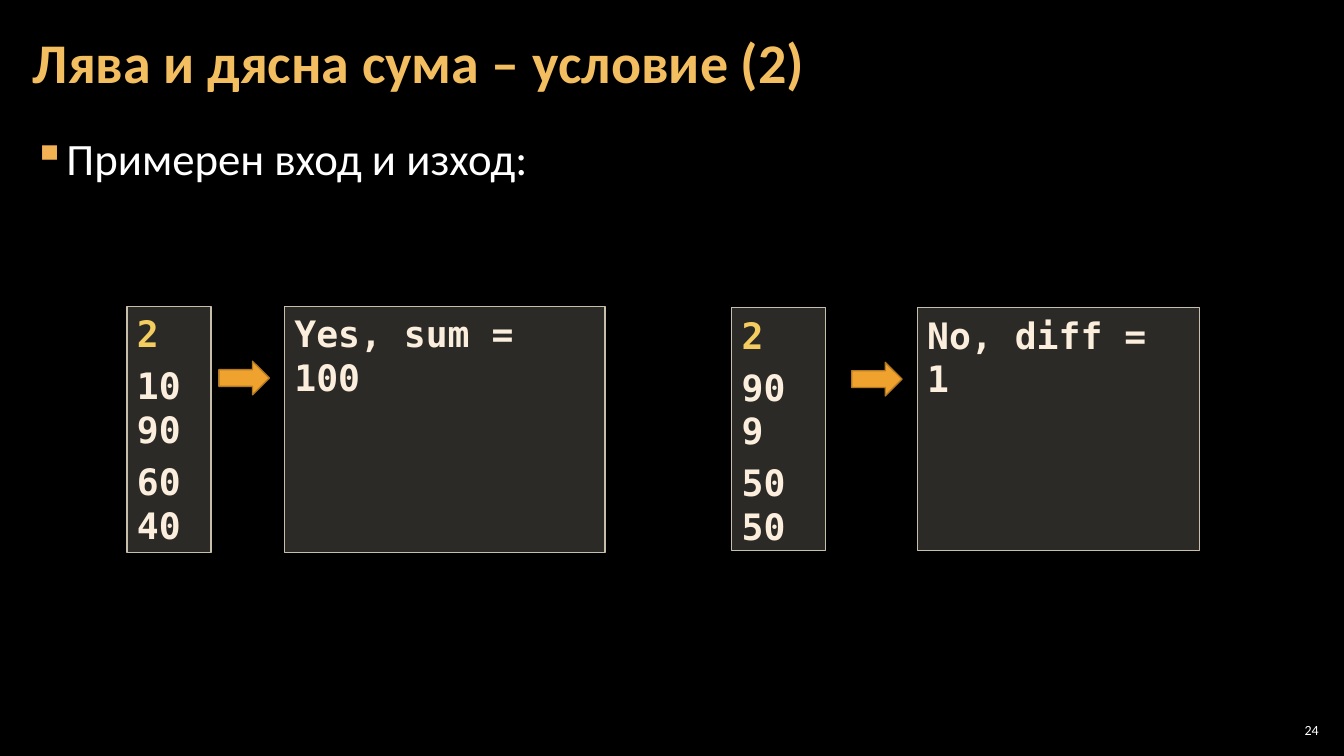
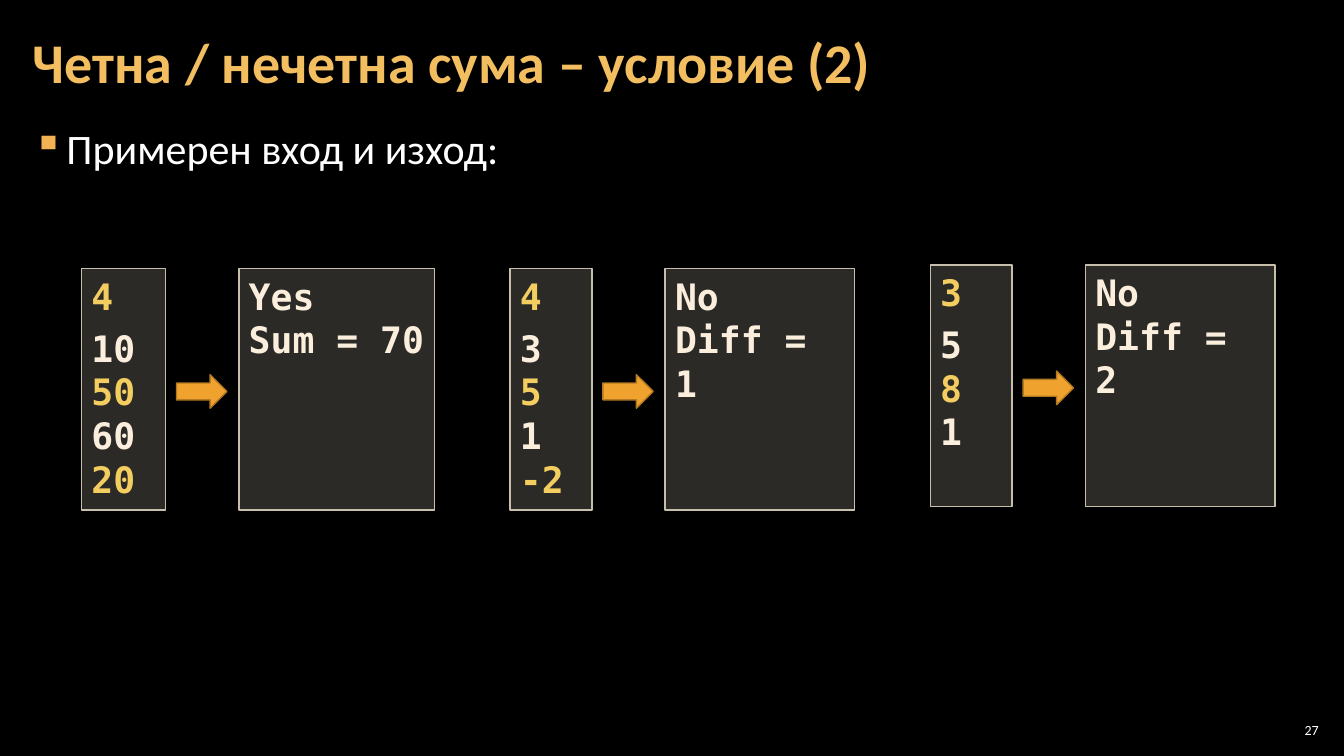
from dataclasses import dataclass

from pptx import Presentation
from pptx.dml.color import RGBColor
from pptx.enum import shapes, text
from pptx.oxml.ns import qn
from pptx.util import Pt
from lxml import etree

SANS, MONO = "Calibri", "DejaVu Sans Mono"
BLACK, WHITE = "000000", "FFFFFF"
TITLE, BULLET = "F3BE60", "F2B254"
CODE, ACCENT = "FBEEDC", "F3CD60"
PANEL, PANEL_LINE = "D9D5C7", "C7BFAC"
ARROW, ARROW_LINE = "F0A22E", "B27822"
ARROW_WIDTH, ARROW_HEIGHT = 36, 24
TITLE_ONLY = 5
MARGIN = 15


@dataclass
class Example:
    """One input panel, an arrow and an output panel; box is left, top, width, height."""
    box: tuple
    input_width: float
    output_width: float
    groups: list
    output: list


def rgb(value):
    return RGBColor.from_string(value)


def add_run(para, words, size, color, font=SANS, bold=False):
    span = para.add_run()
    span.text = words
    span.font.name, span.font.size, span.font.bold = font, Pt(size), bold
    span.font.color.rgb = rgb(color)


def set_frame(frame, anchor, side=8.5, edge=3):
    frame.word_wrap = True
    frame.auto_size = text.MSO_AUTO_SIZE.NONE
    frame.vertical_anchor = anchor
    frame.margin_left = frame.margin_right = Pt(side)
    frame.margin_top = frame.margin_bottom = Pt(edge)


def add_textbox(page, left, top, width, height, anchor, **margins):
    frame = page.shapes.add_textbox(Pt(left), Pt(top), Pt(width), Pt(height)).text_frame
    set_frame(frame, anchor, **margins)
    return frame.paragraphs[0]


def add_filled(page, kind, left, top, width, height, fill, line):
    shape = page.shapes.add_shape(kind, Pt(left), Pt(top), Pt(width), Pt(height))
    shape.shadow.inherit = False
    shape.fill.solid()
    shape.fill.fore_color.rgb = rgb(fill)
    shape.line.color.rgb = rgb(line)
    shape.line.width = Pt(1)
    return shape


def add_panel(page, left, top, width, height, lines):
    """Draw a translucent code panel; each line is (words, colour, space before)."""
    panel = add_filled(page, shapes.MSO_SHAPE.RECTANGLE, left, top, width, height,
                       PANEL, PANEL_LINE)
    color = panel.fill._xPr.find(qn("a:solidFill"))[0]
    etree.SubElement(color, qn("a:alpha"), val="20000")
    frame = panel.text_frame
    set_frame(frame, text.MSO_ANCHOR.TOP, side=7.2, edge=3.6)
    for index, (words, shade, before) in enumerate(lines):
        para = frame.add_paragraph() if index else frame.paragraphs[0]
        para.alignment = text.PP_ALIGN.LEFT
        para.space_before = Pt(before)
        add_run(para, words, 26, shade, MONO, True)


def input_lines(groups, mark_even):
    """Accent the leading count and, if asked, every second value of a group."""
    count, *rest = groups
    lines = [(words, ACCENT, 0) for words in count]
    for group in rest:
        for index, words in enumerate(group):
            marked = mark_even and index % 2
            lines.append((words, ACCENT if marked else CODE, 0 if index else 6))
    return lines


def add_example(page, example, arrow_top, arrow_gap, mark_even):
    """Place the arrow arrow_gap before the output panel, arrow_top below the box top."""
    left, top, width, height = example.box
    output_left = left + width - example.output_width
    add_panel(page, left, top, example.input_width, height,
              input_lines(example.groups, mark_even))
    add_panel(page, output_left, top, example.output_width, height,
              [(words, CODE, 0) for words in example.output])
    add_filled(page, shapes.MSO_SHAPE.RIGHT_ARROW, output_left - arrow_gap - ARROW_WIDTH,
               top + arrow_top, ARROW_WIDTH, ARROW_HEIGHT, ARROW, ARROW_LINE)


def add_title(page, words):
    title = page.shapes.title
    title.left, title.top, title.width, title.height = Pt(MARGIN), Pt(3), Pt(754), Pt(87)
    set_frame(title.text_frame, text.MSO_ANCHOR.MIDDLE)
    para = title.text_frame.paragraphs[0]
    para.alignment = text.PP_ALIGN.LEFT
    para.line_spacing = 0.9
    add_run(para, words, 40, TITLE, bold=True)


def add_bullet(page, words, top, size):
    para = add_textbox(page, MARGIN, top, 930, 438, text.MSO_ANCHOR.TOP)
    props = para._p.get_or_add_pPr()
    props.set("marL", str(Pt(24)))
    props.set("indent", str(-Pt(24)))
    etree.SubElement(etree.SubElement(props, qn("a:buClr")), qn("a:srgbClr"), val=BULLET)
    etree.SubElement(props, qn("a:buChar"), char="▪")
    para.space_before = para.space_after = Pt(6)
    add_run(para, words, size, WHITE)


def add_number(page, number):
    para = add_textbox(page, 911, 514, 34, 15, text.MSO_ANCHOR.MIDDLE, side=3)
    para.alignment = text.PP_ALIGN.RIGHT
    add_run(para, str(number), 10, WHITE)


def add_examples_slide(deck, title, number, bullet_top, bullet_size, examples, **style):
    page = deck.slides.add_slide(deck.slide_layouts[TITLE_ONLY])
    page.background.fill.solid()
    page.background.fill.fore_color.rgb = rgb(BLACK)
    add_number(page, number)
    add_bullet(page, "Примерен вход и изход:", bullet_top, bullet_size)
    add_title(page, title)
    for example in examples:
        add_example(page, example, **style)


def main():
    deck = Presentation()
    deck.slide_width, deck.slide_height = Pt(960), Pt(540)
    add_examples_slide(
        deck, "Лява и дясна сума – условие (2)", 24, 90.7, 32,
        [Example((90.7, 219, 341.5, 175.7), 60, 229,
                 [["2"], ["10", "90"], ["60", "40"]], ["Yes, sum = 100"]),
         Example((522.7, 219.8, 334, 173.5), 67, 201.5,
                 [["2"], ["90", "9"], ["50", "50"]], ["No, diff = 1"])],
        arrow_top=39, arrow_gap=10.8, mark_even=False)
    add_examples_slide(
        deck, "Четна / нечетна сума – условие (2)", 27, 84.2, 30,
        [Example((58.2, 192, 252.4, 172.3), 60, 140,
                 [["4"], ["10", "50", "60", "20"]], ["Yes", "Sum = 70"]),
         Example((364.3, 192, 246.2, 172.3), 58.5, 135.4,
                 [["4"], ["3", "5", "1", "-2"]], ["No", "Diff = 1"]),
         Example((664.5, 189.4, 246.2, 172.3), 58.5, 135.4,
                 [["3"], ["5", "8", "1"]], ["No", "Diff = 2"])],
        arrow_top=75.6, arrow_gap=8.5, mark_even=True)
    deck.save("out.pptx")


if __name__ == "__main__":
    main()
